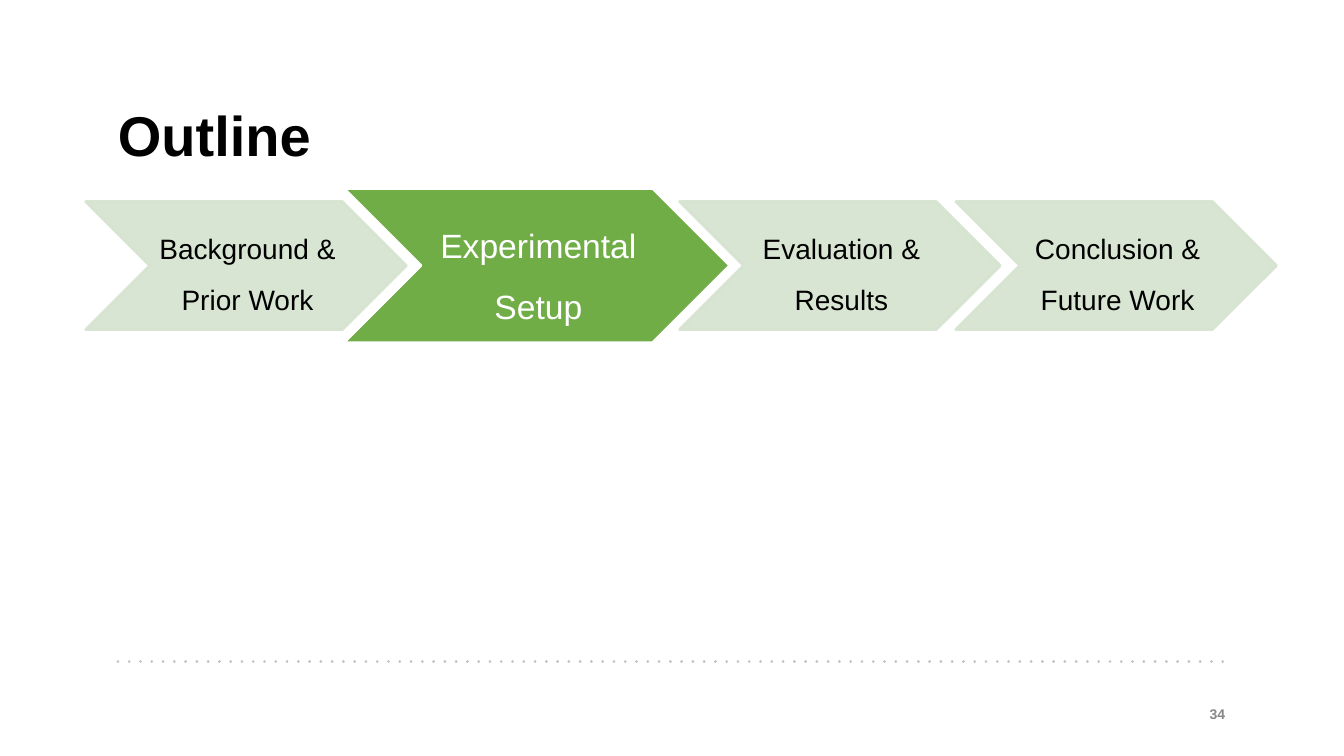
"""Build the outline slide with its row of chevrons, the current section highlighted."""
from lxml import etree
from pptx import Presentation
from pptx.dml.color import RGBColor
from pptx.enum import shapes, text
from pptx.oxml import ns
from pptx.util import Inches, Pt


def paint(color_format, value, alpha=100):
    color_format.rgb = RGBColor.from_string(value)
    if alpha < 100:
        for color in color_format._xFill.iter(ns.qn("a:srgbClr")):
            etree.SubElement(color, ns.qn("a:alpha"), val=str(alpha * 1000))


def write(frame, wording, size, color, align, bold=False):
    frame.text = wording
    frame.word_wrap = True
    para = frame.paragraphs[0]
    para.alignment = align
    span = para.runs[0]
    span.font.name = "Arial"
    span.font.size = Pt(size)
    span.font.bold = bold
    paint(span.font.color, color)
    return para


deck = Presentation()
deck.slide_width = Inches(13.33)
deck.slide_height = Inches(7.5)
page = deck.slides.add_slide(deck.slide_layouts[5])

rule = page.shapes.add_connector(
    shapes.MSO_CONNECTOR.STRAIGHT, Inches(1.17), Inches(6.56), Inches(12.17), Inches(6.56))
rule.line.width = Pt(2)
paint(rule.line.color, "BFBFBF")
properties = rule._element.spPr
outline = properties.find(ns.qn("a:ln"))
outline.set("cap", "rnd")
etree.SubElement(outline, ns.qn("a:prstDash"), val="dot")
etree.SubElement(properties, ns.qn("a:effectLst"))

title = page.shapes.title
title.left, title.top = Inches(1.17), Inches(1.13)
title.width, title.height = Inches(11), Inches(0.57)
frame = title.text_frame
frame.margin_left = frame.margin_right = frame.margin_top = frame.margin_bottom = 0
frame.vertical_anchor = text.MSO_ANCHOR.MIDDLE
frame.auto_size = text.MSO_AUTO_SIZE.NONE
write(frame, "Outline", 40, "000000", text.PP_ALIGN.LEFT, True).line_spacing = 0.7

number = page.shapes.add_textbox(Inches(9.25), Inches(6.88), Inches(3), Inches(0.4))
number.text_frame.vertical_anchor = text.MSO_ANCHOR.MIDDLE
write(number.text_frame, "34", 10, "888888", text.PP_ALIGN.RIGHT, True)

current = (1.87, 3.83, 1.53, "70AD47", "FFFFFF", 100, 24, "FFFFFF")
other = (2, 3.18, 1.27, "D5E3CF", "D5E3CF", 90, 20, "000000")
sections = [
    ("Experimental Setup", 3.41, current),
    ("Background & Prior Work", 0.85, other),
    ("Evaluation & Results", 6.74, other),
    ("Conclusion & Future Work", 9.48, other),
]
for wording, left, style in sections:
    top, width, height, fill, line, alpha, size, ink = style
    chevron = page.shapes.add_shape(
        shapes.MSO_SHAPE.CHEVRON, Inches(left), Inches(top), Inches(width), Inches(height))
    chevron.shadow.inherit = False
    chevron.fill.solid()
    paint(chevron.fill.fore_color, fill, alpha)
    chevron.line.width = Pt(2)
    paint(chevron.line.color, line, alpha)
    frame = chevron.text_frame
    frame.margin_left, frame.margin_right = Inches(0.03), 0
    frame.margin_top = frame.margin_bottom = Inches(0.01)
    frame.vertical_anchor = text.MSO_ANCHOR.MIDDLE
    write(frame, wording, size, ink, text.PP_ALIGN.CENTER).line_spacing = 1.5

deck.save("out.pptx")
